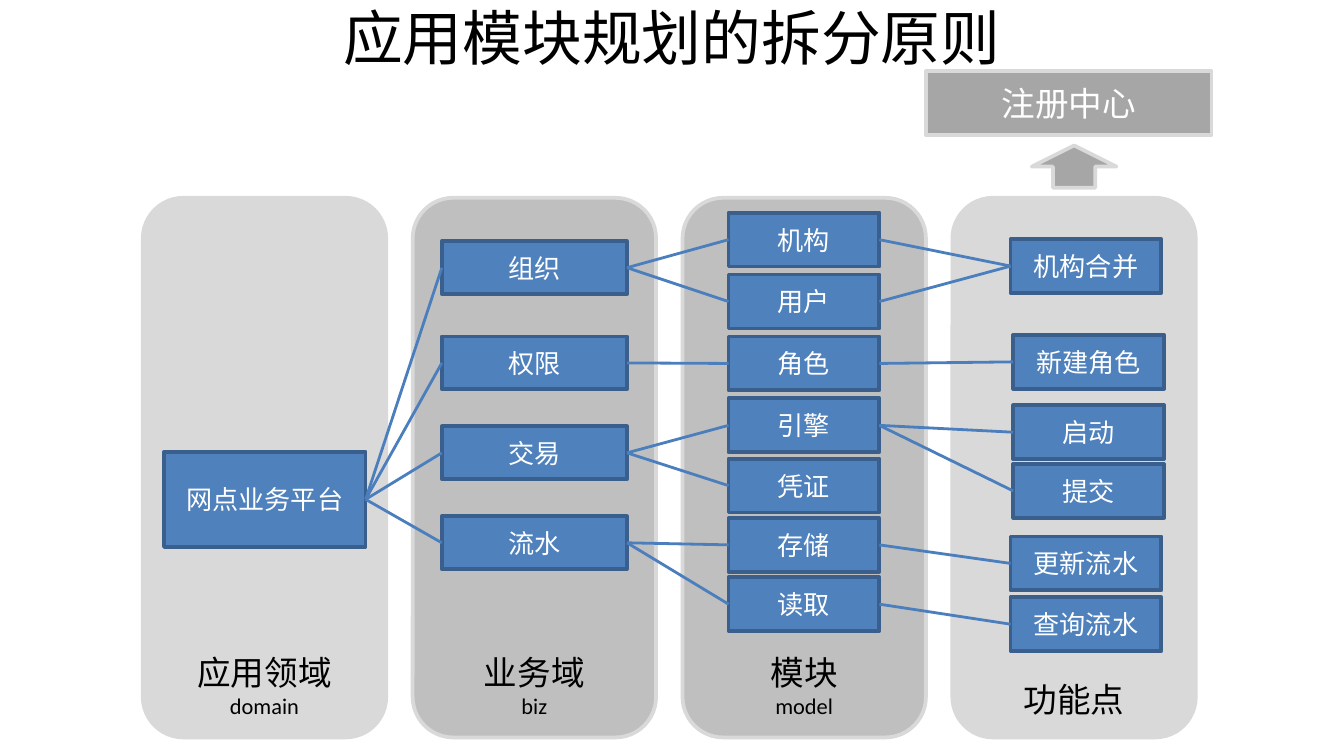
from dataclasses import dataclass

from lxml import etree
from pptx import Presentation
from pptx.dml.color import RGBColor
from pptx.enum.shapes import MSO_CONNECTOR, MSO_SHAPE
from pptx.enum.text import MSO_ANCHOR, MSO_AUTO_SIZE, PP_ALIGN
from pptx.oxml.ns import qn
from pptx.util import Cm, Pt

RECT, ROUND, ARROW = MSO_SHAPE.RECTANGLE, MSO_SHAPE.ROUNDED_RECTANGLE, MSO_SHAPE.UP_ARROW
LINE = MSO_CONNECTOR.STRAIGHT
MIDDLE, BOTTOM = MSO_ANCHOR.MIDDLE, MSO_ANCHOR.BOTTOM
CENTER, FIXED = PP_ALIGN.CENTER, MSO_AUTO_SIZE.NONE
LEFT, RIGHT = 1, 3  # connection sites of a rectangle


@dataclass(frozen=True)
class Theme:
    light: str = "D9D9D9"
    dark: str = "BFBFBF"
    gray: str = "A6A6A6"
    blue: str = "4F81BD"
    edge: str = "3A5F8C"
    link: str = "4B7EBC"
    black: str = "000000"
    white: str = "FFFFFF"
    font: str = "Calibri"
    cjk: str = "Noto Sans CJK SC"
    title: int = 32
    head: int = 18
    node: int = 14
    sub: int = 12
    border: float = 2
    wire: float = 1.5


T = Theme()

# fill, heading lines, node size, then (name, left, top) inside the column
COLS = [
    (T.light, ("应用领域", "domain"), (3.81, 1.8), [("网点业务平台", 0.4, 4.8)]),
    (T.dark, ("业务域", "biz"), (3.5, 1),
     [("组织", 0.55, 0.82), ("权限", 0.55, 2.62), ("交易", 0.55, 4.32), ("流水", 0.55, 6.02)]),
    (T.dark, ("模块", "model"), (2.85, 1.02),
     [("机构", 0.87, 0.28), ("用户", 0.87, 1.45), ("角色", 0.87, 2.62), ("引擎", 0.87, 3.79),
      ("凭证", 0.87, 4.93), ("存储", 0.87, 6.05), ("读取", 0.87, 7.17)]),
    (T.light, ("功能点",), (2.85, 1.02),
     [("机构合并", 1.1, 0.78), ("新建角色", 1.15, 2.59), ("启动", 1.15, 3.92),
      ("提交", 1.15, 5.03), ("更新流水", 1.1, 6.4), ("查询流水", 1.1, 7.55)]),
]

LINKS = {
    "网点业务平台": ("组织", "权限", "交易", "流水"),
    "组织": ("机构", "用户"),
    "权限": ("角色",),
    "交易": ("引擎", "凭证"),
    "流水": ("存储", "读取"),
    "机构": ("机构合并",),
    "用户": ("机构合并",),
    "角色": ("新建角色",),
    "引擎": ("启动", "提交"),
    "存储": ("更新流水",),
    "读取": ("查询流水",),
}


def assign(obj, values):
    for name, value in values.items():
        setattr(obj, name, value)


def write(frame, lines, color, anchor=MIDDLE, font=T.font):
    """Fill a text frame with centred (text, size) lines."""
    assign(frame, {"word_wrap": True, "auto_size": FIXED, "vertical_anchor": anchor})
    for i, (text, size) in enumerate(lines):
        para = frame.add_paragraph() if i else frame.paragraphs[0]
        para.alignment = CENTER
        run = para.add_run()
        run.text = text
        assign(run.font, {"name": font, "size": Pt(size)})
        run.font.color.rgb = RGBColor.from_string(color)


def block(slide, kind, box, fill, edge):
    shape = slide.shapes.add_shape(kind, *map(Cm, box))
    shape.shadow.inherit = False
    shape.fill.solid()
    shape.fill.fore_color.rgb = RGBColor.from_string(fill)
    shape.line.color.rgb = RGBColor.from_string(edge)
    shape.line.width = Pt(T.border)
    return shape


def heading(slide, text, box):
    title = slide.shapes.title
    assign(title, dict(zip(("left", "top", "width", "height"), map(Cm, box))))
    write(title.text_frame, [(text, T.title)], T.black, font=T.cjk)
    props = title.text_frame.paragraphs[0].runs[0].font._element
    etree.SubElement(props, qn("a:ea"), typeface=T.cjk)


def column(slide, box, fill, names, size, items):
    """Draw one column and return its nodes by name."""
    panel = block(slide, ROUND, box, fill, T.light)
    write(panel.text_frame, list(zip(names, (T.head, T.sub))), T.black, BOTTOM)
    nodes = {}
    for name, x, y in items:
        node = block(slide, RECT, (box[0] + x, box[1] + y, *size), T.blue, T.edge)
        write(node.text_frame, [(name, T.node)], T.white)
        nodes[name] = node
    return nodes


def connect(slide, start, end):
    wire = slide.shapes.add_connector(LINE, 0, 0, 0, 0)
    wire.begin_connect(start, RIGHT)
    wire.end_connect(end, LEFT)
    wire.line.color.rgb = RGBColor.from_string(T.link)
    wire.line.width = Pt(T.wire)
    etree.SubElement(wire._element.spPr, qn("a:effectLst"))


def registry(slide, box):
    """Draw the registry bar with the arrow that points up to it."""
    x, y, wide, high = box
    block(slide, ARROW, (x + 2, y + high + 0.2, 1.6, 0.8), T.gray, T.light)
    bar = block(slide, RECT, box, T.gray, T.light)
    write(bar.text_frame, [("注册中心", T.head)], T.white)


def main():
    deck = Presentation()
    assign(deck, {"slide_width": Cm(25.4), "slide_height": Cm(14.29)})
    slide = deck.slides.add_slide(deck.slide_layouts[5])
    heading(slide, "应用模块规划的拆分原则", (0, 0, 25.4, 1.4))
    nodes = {}
    for i, spec in enumerate(COLS):
        nodes.update(column(slide, (2.7 + 5.1 * i, 3.74, 4.6, 10.2), *spec))
    for start, ends in LINKS.items():
        for end in ends:
            connect(slide, nodes[start], nodes[end])
    registry(slide, (17.5, 1.35, 5.4, 1.2))
    deck.save("out.pptx")


if __name__ == "__main__":
    main()
